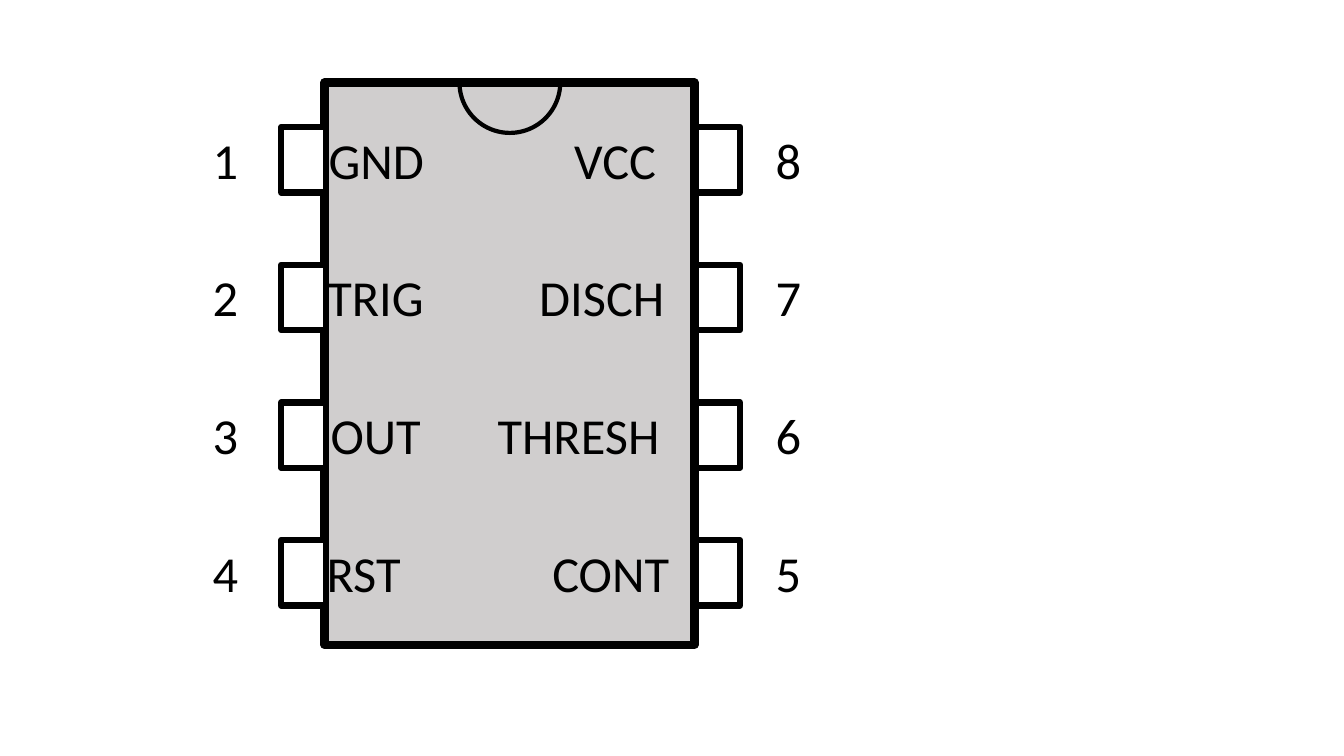
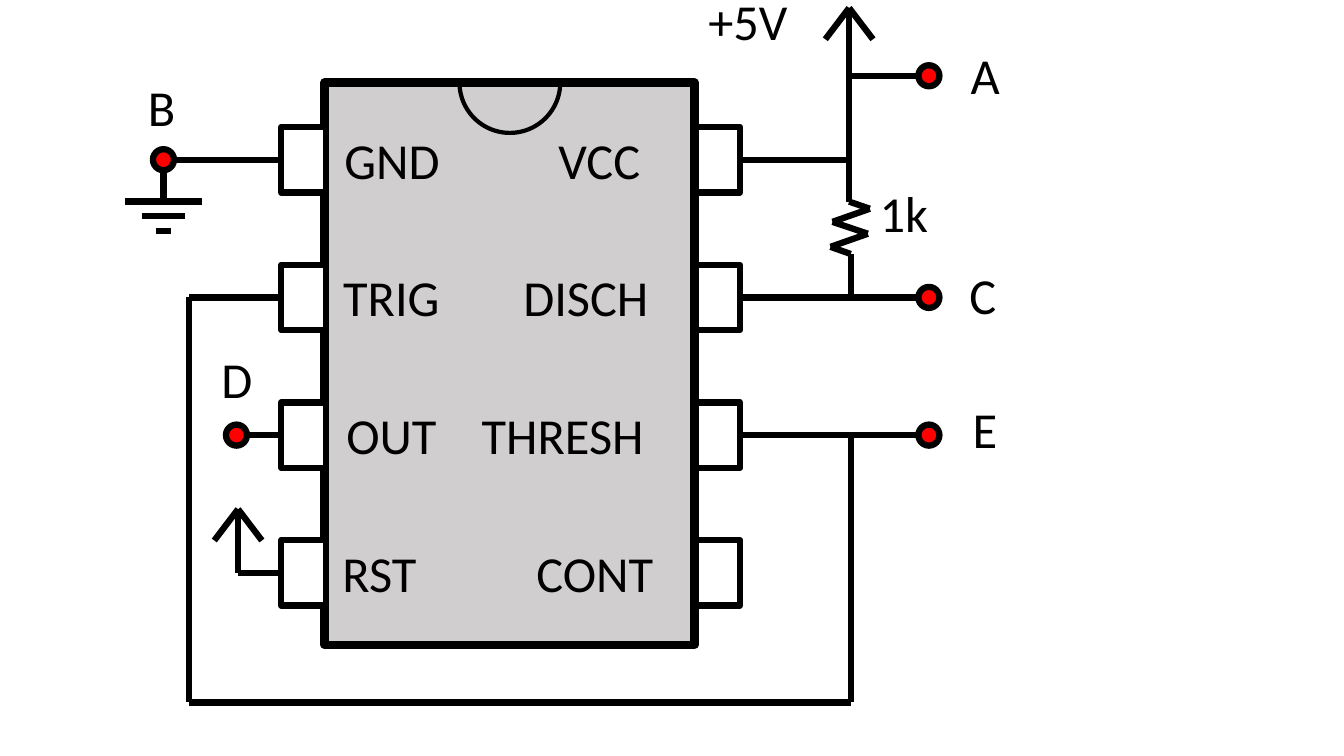
from dataclasses import dataclass
from itertools import pairwise

from lxml import etree
from pptx import Presentation
from pptx.dml.color import RGBColor
from pptx.enum.shapes import MSO_CONNECTOR, MSO_SHAPE
from pptx.enum.text import MSO_AUTO_SIZE
from pptx.oxml.ns import qn
from pptx.util import Cm, Pt

RECTANGLE = MSO_SHAPE.RECTANGLE
ELLIPSE = MSO_SHAPE.OVAL
PIE = MSO_SHAPE.PIE
STRAIGHT = MSO_CONNECTOR.STRAIGHT
FIT_SHAPE = MSO_AUTO_SIZE.SHAPE_TO_FIT_TEXT
BLANK_LAYOUT = 6


@dataclass(frozen=True)
class Theme:
    """Colours, type and line widths of both slides."""
    ink: RGBColor = RGBColor(0, 0, 0)
    chip: RGBColor = RGBColor(0xD0, 0xCE, 0xCE)
    pin: RGBColor = RGBColor(0xFF, 0xFF, 0xFF)
    terminal: RGBColor = RGBColor(0xFF, 0, 0)
    font: str = "Calibri"
    text_size: float = 36
    body_line: float = 6
    wire_line: float = 4.5
    notch_line: float = 3


# Lengths are in centimetres.
PIN_WIDTH, PIN_HEIGHT = 1.12, 1.65
PIN_TOP, PIN_PITCH = 3.2, 3.47
LEFT_PIN, RIGHT_PIN = 7.09, 17.53
RIGHT_PIN_END = RIGHT_PIN + PIN_WIDTH
LABEL_TOP, LABEL_HEIGHT = 3.12, 1.78
LETTER_WIDTH, DIGIT_WIDTH = 1.37, 1.3
PIN_ROWS = [PIN_TOP + PIN_HEIGHT / 2 + row * PIN_PITCH for row in range(4)]

# Name, left and width of each pin label, from top to bottom.
LEFT_LABELS = [("GND", 8.03, 3.4), ("TRIG", 8, 3.51),
               ("OUT", 8.08, 3.2), ("RST", 7.98, 2.95)]
RIGHT_LABELS = [("VCC", 14.22, 3.12), ("DISCH", 13.34, 4.5),
                ("THRESH", 12.29, 5.66), ("CONT", 13.67, 4.11)]


class Diagram:
    """Draws circuit elements on the current slide."""

    def __init__(self, presentation, theme):
        """Keep the presentation and its style."""
        self.presentation = presentation
        self.theme = theme
        self.slide = None

    def new_slide(self):
        """Start a blank slide."""
        layout = self.presentation.slide_layouts[BLANK_LAYOUT]
        self.slide = self.presentation.slides.add_slide(layout)

    def shape(self, kind, left, top, width, height, fill, line_width):
        """Add an outlined shape, unfilled when fill is None."""
        shape = self.slide.shapes.add_shape(
            kind, Cm(left), Cm(top), Cm(width), Cm(height))
        shape.shadow.inherit = False
        if fill is None:
            shape.fill.background()
        else:
            shape.fill.solid()
            shape.fill.fore_color.rgb = fill
        shape.line.color.rgb = self.theme.ink
        shape.line.width = Pt(line_width)
        return shape

    def label(self, text, left, top, width):
        """Add one line of text."""
        box = self.slide.shapes.add_textbox(
            Cm(left), Cm(top), Cm(width), Cm(LABEL_HEIGHT))
        frame = box.text_frame
        frame.word_wrap = False
        frame.auto_size = FIT_SHAPE
        paragraph = frame.paragraphs[0]
        paragraph.text = text
        paragraph.font.name = self.theme.font
        paragraph.font.size = Pt(self.theme.text_size)
        paragraph.font.color.rgb = self.theme.ink

    def wire(self, *points):
        """Join successive points with straight lines."""
        for start, end in pairwise(points):
            line = self.slide.shapes.add_connector(
                STRAIGHT, *(Cm(length) for length in (*start, *end)))
            line.line.color.rgb = self.theme.ink
            line.line.width = Pt(self.theme.wire_line)
            etree.SubElement(line._element.spPr, qn("a:effectLst"))

    def supply_arrow(self, x, y):
        """Draw an open arrowhead pointing up to a supply."""
        self.wire((x - 0.6, y + 0.79), (x, y), (x + 0.6, y + 0.79))

    def ground(self, x, y):
        """Draw the three shrinking bars of a ground sign."""
        for row, half_width in enumerate((0.98, 0.54, 0.2)):
            bar = y + row * 0.37
            self.wire((x - half_width, bar), (x + half_width, bar))

    def terminal(self, x, y, size=0.53):
        """Draw a red test point centred on x, y."""
        self.shape(ELLIPSE, x - size / 2, y - size / 2, size, size,
                   self.theme.terminal, self.theme.wire_line)

    def chip(self, label_inset=0):
        """Draw the eight-pin chip, its labels moved inwards by label_inset."""
        theme = self.theme
        self.shape(RECTANGLE, 8.18, 2.08, 9.32, 14.17, theme.chip, theme.body_line)
        for left in (LEFT_PIN, RIGHT_PIN):
            for row in range(4):
                self.shape(RECTANGLE, left, PIN_TOP + row * PIN_PITCH,
                           PIN_WIDTH, PIN_HEIGHT, theme.pin, theme.wire_line)
        notch = self.shape(PIE, 11.58, 0.81, 2.54, 2.54, None, theme.notch_line)
        notch.adjustments[0] = 0
        notch.adjustments[1] = 107.25
        for labels, shift in ((LEFT_LABELS, label_inset), (RIGHT_LABELS, -label_inset)):
            for row, (name, left, width) in enumerate(labels):
                self.label(name, left + shift, LABEL_TOP + row * PIN_PITCH, width)

    def pin_numbers(self):
        """Number the pins down the left side and up the right."""
        for row in range(4):
            top = LABEL_TOP + row * PIN_PITCH
            self.label(str(row + 1), 5.11, top, DIGIT_WIDTH)
            self.label(str(8 - row), 19.3, top, DIGIT_WIDTH)


def draw_pinout(diagram):
    """Build the slide with the numbered pins."""
    diagram.new_slide()
    diagram.chip()
    diagram.pin_numbers()


def draw_circuit(diagram):
    """Build the slide with the wired chip."""
    diagram.new_slide()
    diagram.chip(label_inset=0.4)
    first, second, third, fourth = PIN_ROWS
    rail, resistor_foot, outlet = 21.4, 21.44, 23.41
    supply_top, resistor_top, outlet_a = 0.2, 5.08, 1.91
    ground_x, ground_top = 4.12, 5.08
    reset_x, reset_top = 6, 12.83
    loop_left, loop_bottom = 4.76, 17.7
    output_x = 5.96

    # Supply, resistor and discharge
    diagram.wire((rail, supply_top), (rail, resistor_top), (21.92, 5.26),
                 (20.98, 5.59), (21.87, 5.89), (20.93, 6.22),
                 (resistor_foot, 6.4), (resistor_foot, second))
    diagram.supply_arrow(rail, supply_top)
    diagram.wire((RIGHT_PIN_END, first), (rail, first))
    diagram.wire((rail, outlet_a), (outlet, outlet_a))
    for row in (second, third):
        diagram.wire((RIGHT_PIN_END, row), (outlet, row))

    # Ground, trigger loop, output and reset
    diagram.wire((LEFT_PIN, first), (ground_x, first), (ground_x, ground_top))
    diagram.ground(ground_x, ground_top)
    diagram.wire((LEFT_PIN, second), (loop_left, second), (loop_left, loop_bottom),
                 (resistor_foot, loop_bottom), (resistor_foot, third))
    diagram.wire((LEFT_PIN, third), (output_x, third))
    diagram.wire((LEFT_PIN, fourth), (reset_x, fourth), (reset_x, reset_top))
    diagram.supply_arrow(reset_x, reset_top)

    terminals = [("A", outlet, outlet_a, 24.21, 0.99),
                 ("B", ground_x, first, 3.48, 1.8),
                 ("C", outlet, second, 24.18, 6.53),
                 ("D", output_x, third, 5.33, 8.64),
                 ("E", outlet, third, 24.26, 9.91)]
    for name, x, y, label_left, label_top in terminals:
        diagram.terminal(x, y)
        diagram.label(name, label_left, label_top, LETTER_WIDTH)
    diagram.label("1k", 21.92, 4.47, 2.03)
    diagram.label("+5V", 17.6, -0.38, 3.4)


def main():
    """Build and save the presentation."""
    presentation = Presentation()
    presentation.slide_width = Cm(33.87)
    presentation.slide_height = Cm(19.05)
    diagram = Diagram(presentation, Theme())
    draw_pinout(diagram)
    draw_circuit(diagram)
    presentation.save("out.pptx")


main()
